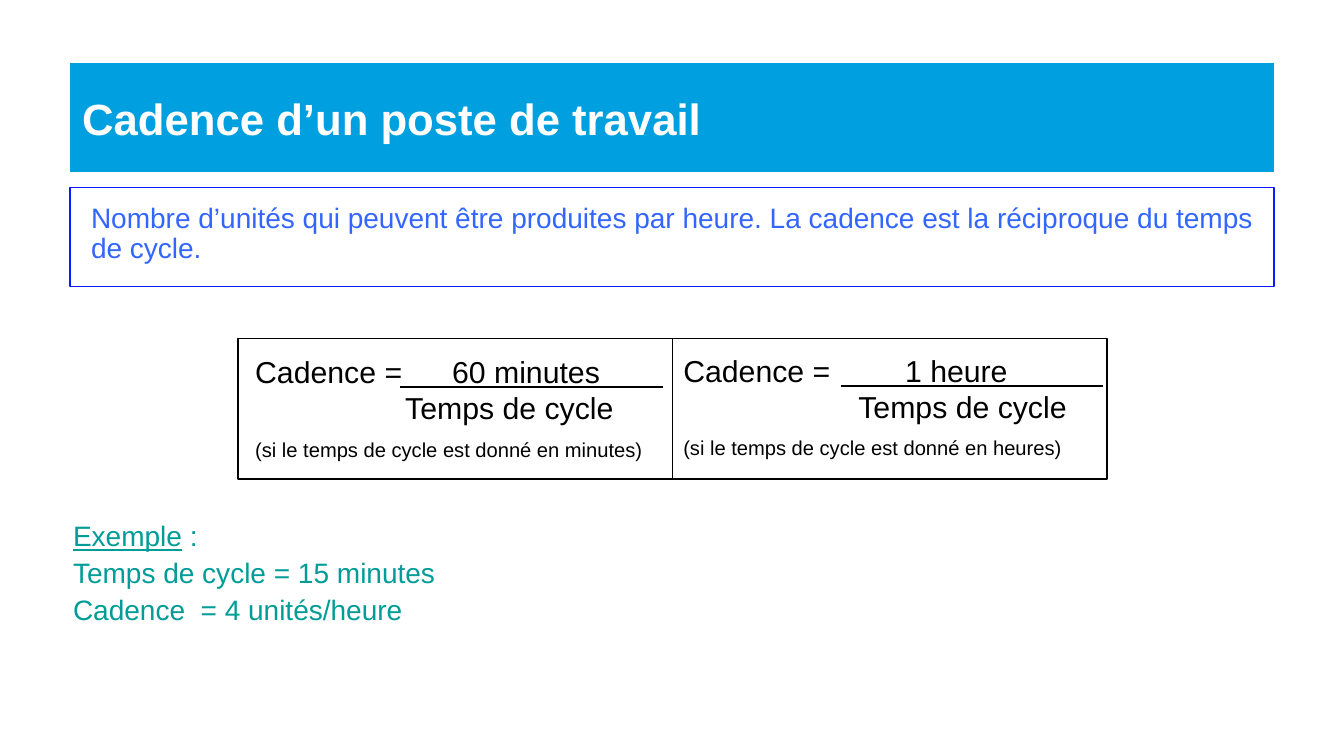
from pptx import Presentation
from pptx.dml.color import RGBColor
from pptx.enum.shapes import MSO_CONNECTOR as Connector, MSO_SHAPE as Shape
from pptx.enum.text import MSO_ANCHOR as Anchor, PP_ALIGN as Align
from pptx.oxml.ns import qn
from pptx.util import Pt
from lxml.etree import SubElement

WHITE = RGBColor(0xFF, 0xFF, 0xFF)
BLACK = RGBColor(0x00, 0x00, 0x00)
BANNER_BLUE = RGBColor(0x00, 0x9F, 0xDF)
FRAME_BLUE = RGBColor(0x0A, 0x1B, 0xFF)
TEXT_BLUE = RGBColor(0x33, 0x66, 0xFF)
TEAL = RGBColor(0x00, 0x9C, 0x98)


def set_values(target, values):
    """Set every attribute in a dict of format values."""
    for name, value in values.items():
        setattr(target, name, value)


def add_box(slide, box, fill=None, line=None):
    """Add a flat rectangle with an optional fill and outline."""
    shape = slide.shapes.add_shape(Shape.RECTANGLE, *map(Pt, box))
    shape.shadow.inherit = False
    for part, color in ((shape.fill, fill), (shape.line.fill, line)):
        if color is None:
            part.background()
        else:
            part.solid()
            part.fore_color.rgb = color
    if line is not None:
        shape.line.width = Pt(1)
    return shape


def set_frame(shape, left=7.2, top=3.6, anchor=Anchor.TOP):
    """Prepare the text frame of a shape and return it."""
    frame = shape.text_frame
    set_values(frame, {
        "word_wrap": True, "vertical_anchor": anchor,
        "margin_left": Pt(left), "margin_right": Pt(7.2),
        "margin_top": Pt(top), "margin_bottom": Pt(3.6),
    })
    return frame


def add_paragraph(frame, text, size, color, bold=False, **layout):
    """Write a left-aligned paragraph, reusing the first empty one."""
    first = frame.paragraphs[0]
    paragraph = frame.add_paragraph() if first.runs else first
    set_values(paragraph, {"alignment": Align.LEFT, **layout})
    add_run(paragraph, text, size, color, bold=bold)
    return paragraph


def add_run(paragraph, text, size, color, **styles):
    """Add a formatted run to a paragraph."""
    run = paragraph.add_run()
    run.text = text
    set_values(run.font, {"name": "Arial", "size": Pt(size), **styles})
    run.font.color.rgb = color
    return run


def add_banner(slide, box, title):
    """Draw the title banner."""
    frame = set_frame(add_box(slide, box, fill=BANNER_BLUE), anchor=Anchor.MIDDLE)
    add_paragraph(frame, title, 26, WHITE, bold=True)


def add_definition(slide, box, text):
    """Draw the framed definition."""
    frame = set_frame(add_box(slide, box, line=FRAME_BLUE), left=12.4, top=10)
    add_paragraph(frame, text, 16.7, TEXT_BLUE, line_spacing=0.9)


def add_formula(slide, box, numerator, note, inset, indents, rule):
    """Draw a framed fraction with its rule and a note below."""
    left, top, _, _ = box
    frame = set_frame(add_box(slide, box, line=BLACK), *inset)
    numerator_indent, denominator_indent = indents
    properties = frame.paragraphs[0]._p.get_or_add_pPr()
    tabs = SubElement(properties, qn("a:tabLst"))
    SubElement(tabs, qn("a:tab"), pos=str(Pt(numerator_indent)), algn="l")
    add_paragraph(frame, f"Cadence =\t{numerator}", 18, BLACK)
    denominator = add_paragraph(frame, "Temps de cycle", 18, BLACK)
    denominator._p.get_or_add_pPr().set("marL", str(Pt(denominator_indent)))
    add_paragraph(frame, note, 12, BLACK, space_before=Pt(6.7))

    start, height = left + rule[0], top + rule[1]
    ends = (start, height, start + 156.3, height)
    connector = slide.shapes.add_connector(Connector.STRAIGHT, *map(Pt, ends))
    connector.line.width = Pt(1)
    connector.line.color.rgb = BLACK
    SubElement(connector._element.spPr, qn("a:effectLst"))


def add_formulas(slide, box):
    """Place the two formulas side by side in equal halves."""
    left, top, width, height = box
    half = width / 2
    formulas = (
        ("60 minutes", "(si le temps de cycle est donné en minutes)",
         (10.1, 8.6), (117.2, 89.3), (96.5, 28.8)),
        ("1 heure", "(si le temps de cycle est donné en heures)",
         (6.4, 7.9), (132, 104.2), (100.1, 28.1)),
    )
    for index, formula in enumerate(formulas):
        add_formula(slide, (left + index * half, top, half, height), *formula)


def add_example(slide, box):
    """Write the worked example."""
    frame = set_frame(slide.shapes.add_textbox(*map(Pt, box)))
    heading = add_paragraph(frame, "Exemple", 16.7, TEAL, line_spacing=0.9)
    heading.runs[0].font.underline = True
    add_run(heading, " :", 16.7, TEAL)
    for text in ("Temps de cycle = 15 minutes", "Cadence  = 4 unités/heure"):
        add_paragraph(frame, text, 16.7, TEAL, line_spacing=0.9, space_before=Pt(4))


def main():
    """Build and save the slide."""
    presentation = Presentation()
    set_values(presentation, {"slide_width": Pt(800), "slide_height": Pt(450)})
    slide = presentation.slides.add_slide(presentation.slide_layouts[6])
    add_formulas(slide, (141.8, 201.6, 517, 83.5))
    add_example(slide, (36.4, 307.5, 722, 74))
    add_definition(
        slide, (41.8, 111.6, 716.4, 59),
        "Nombre d’unités qui peuvent être produites par heure. "
        "La cadence est la réciproque du temps de cycle.")
    add_banner(slide, (41.8, 37.6, 716.4, 64.8), "Cadence d’un poste de travail")
    presentation.save("out.pptx")


if __name__ == "__main__":
    main()
